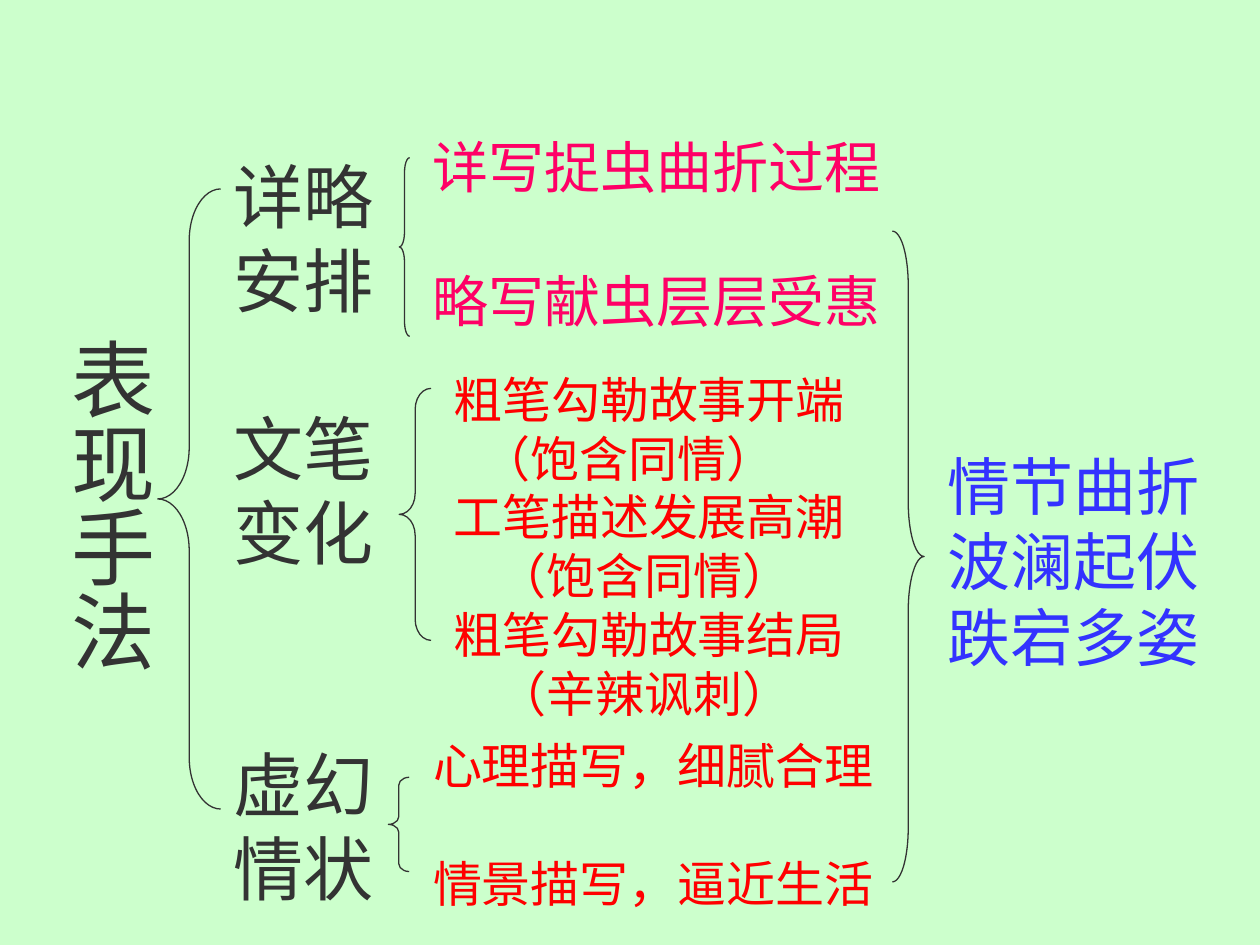
from dataclasses import dataclass

from lxml import etree
from pptx import Presentation
from pptx.dml.color import RGBColor
from pptx.enum.shapes import MSO_SHAPE
from pptx.enum.text import MSO_ANCHOR, MSO_AUTO_SIZE, PP_ALIGN
from pptx.oxml.ns import qn
from pptx.util import Cm, Pt

LEFT_BRACE, RIGHT_BRACE = MSO_SHAPE.LEFT_BRACE, MSO_SHAPE.RIGHT_BRACE
TOP, MIDDLE = MSO_ANCHOR.TOP, MSO_ANCHOR.MIDDLE
LEFT = PP_ALIGN.LEFT
NO_AUTOFIT = MSO_AUTO_SIZE.NONE


@dataclass(frozen=True)
class Theme:
    background: RGBColor = RGBColor(0xCC, 0xFF, 0xCC)
    ink: RGBColor = RGBColor(0x33, 0x33, 0x33)
    pink: RGBColor = RGBColor(0xFF, 0x00, 0x66)
    red: RGBColor = RGBColor(0xFF, 0x00, 0x00)
    blue: RGBColor = RGBColor(0x33, 0x33, 0xFF)
    font: str = "Noto Sans CJK JP"
    accent_font: str = "Noto Sans CJK SC"
    topic_size: int = 48
    branch_size: int = 40
    conclusion_size: int = 36
    emphasis_size: int = 32
    detail_size: int = 28
    line_height: float = 1.2


theme = Theme()


def style_paragraph(paragraph, size, color, font):
    paragraph.alignment = LEFT
    for run in paragraph.runs:
        run.font.size = Pt(size)
        run.font.color.rgb = color
        run.font.name = font
        east_asian = etree.SubElement(run.font._element, qn("a:ea"))
        east_asian.set("typeface", font)


def add_lines(slide, box, lines, size, color, font=theme.font):
    """Add a text box; each line is (text, blank lines before, indent in cm)."""
    frame = slide.shapes.add_textbox(*map(Cm, box)).text_frame
    frame.word_wrap = True
    frame.auto_size = NO_AUTOFIT
    frame.text = "\n".join(text for text, _, _ in lines)
    pitch = size * theme.line_height
    for paragraph, (_, gap, indent) in zip(frame.paragraphs, lines):
        paragraph.line_spacing = Pt(pitch)
        if gap:
            paragraph.space_before = Pt(gap * pitch)
        if indent:
            paragraph._p.get_or_add_pPr().set("marL", str(Cm(indent)))
        style_paragraph(paragraph, size, color, font)


prs = Presentation()
prs.slide_width, prs.slide_height = Cm(25.4), Cm(19.05)
slide = prs.slides.add_slide(prs.slide_layouts[5])
slide.background.fill.solid()
slide.background.fill.fore_color.rgb = theme.background

# Main topic, written downwards
topic = slide.shapes.title
topic.left, topic.top, topic.width, topic.height = Cm(0.95), Cm(6.55), Cm(2.54), Cm(7.4)
topic_frame = topic.text_frame
topic_frame.text = "表现手法"
topic_frame.auto_size = NO_AUTOFIT
topic_frame.vertical_anchor = MIDDLE
topic_frame.margin_left = topic_frame.margin_right = Cm(0.13)
topic_frame.margin_top = topic_frame.margin_bottom = Cm(0.25)
topic_frame._txBody.bodyPr.set("vert", "eaVert")
style_paragraph(topic_frame.paragraphs[0], theme.topic_size, theme.ink, theme.accent_font)

# Branches and their details
add_lines(slide, (4.45, 2.97, 3.89, 15.49),
          [("详略安排", 0, 0), ("文笔变化", 1, 0), ("虚幻情状", 2, 0)],
          theme.branch_size, theme.ink)
add_lines(slide, (8.46, 2.54, 11, 5.69),
          [("详写捉虫曲折过程", 0, 0), ("略写献虫层层受惠", 1, 0)],
          theme.emphasis_size, theme.pink)
add_lines(slide, (8.89, 7.32, 8.8, 7.37),
          [("粗笔勾勒故事开端", 0, 0), ("（饱含同情）", 0, 0.57),
           ("工笔描述发展高潮", 0, 0), ("（饱含同情）", 0, 0.9),
           ("粗笔勾勒故事结局", 0, 0), ("（辛辣讽刺）", 0, 0.9)],
          theme.detail_size, theme.red)
add_lines(slide, (8.48, 14.71, 9.7, 3.81),
          [("心理描写，细腻合理", 0, 0), ("情景描写，逼近生活", 1, 0)],
          theme.detail_size, theme.red)
add_lines(slide, (18.85, 8.89, 5.9, 4.83),
          [("情节曲折", 0, 0), ("波澜起伏", 0, 0), ("跌宕多姿", 0, 0)],
          theme.conclusion_size, theme.blue, theme.accent_font)

# Braces: each curve takes a twelfth of the height
braces = [
    (LEFT_BRACE, 3.18, 3.81, 1.27, 12.5),
    (LEFT_BRACE, 8.05, 3.18, 0.21, 3.6),
    (LEFT_BRACE, 8.05, 7.83, 0.64, 5.08),
    (LEFT_BRACE, 7.83, 15.67, 0.42, 1.9),
    (RIGHT_BRACE, 17.99, 4.66, 0.64, 13.12),
]
for kind, left, top, width, height in braces:
    brace = slide.shapes.add_shape(kind, Cm(left), Cm(top), Cm(width), Cm(height))
    brace.adjustments[0] = height / 12 / width
    brace.shadow.inherit = False
    brace.fill.background()
    brace.line.color.rgb = theme.ink
    brace.line.width = Pt(0.75)

prs.save("out.pptx")
